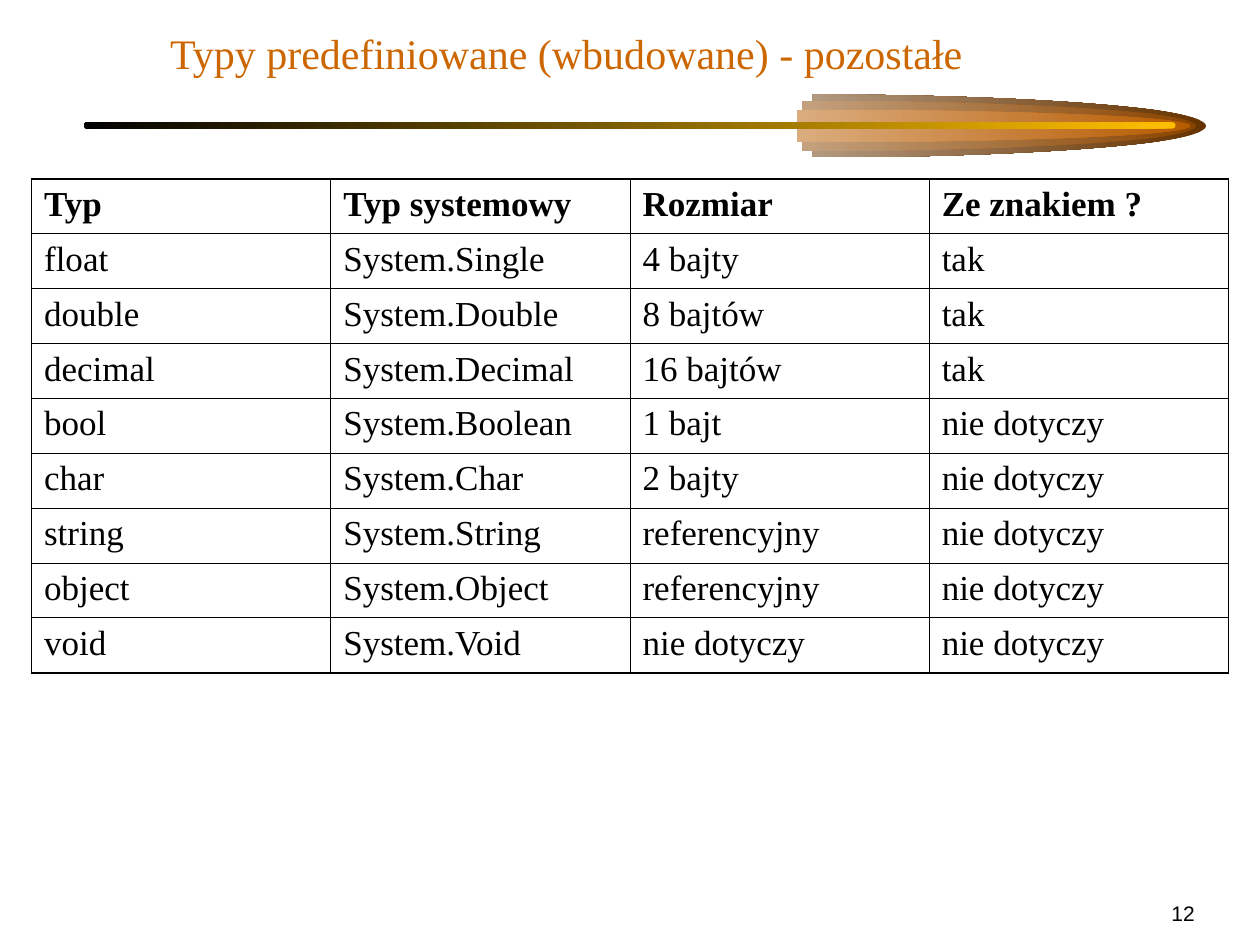
"""Builds a slide with a table of predefined data types."""
from dataclasses import dataclass

from lxml import etree
from pptx import Presentation
from pptx import util as u
from pptx.dml import color
from pptx.enum import shapes, text
from pptx.oxml import ns

SERIF, SANS = "Times New Roman", "Arial"
BLACK, WHITE = "000000", "FFFFFF"
THIN, THICK = 0.45, 1.08
ROWS = [
    ("Typ", "Typ systemowy", "Rozmiar", "Ze znakiem ?"),
    ("float", "System.Single", "4 bajty", "tak"),
    ("double", "System.Double", "8 bajtów", "tak"),
    ("decimal", "System.Decimal", "16 bajtów", "tak"),
    ("bool", "System.Boolean", "1 bajt", "nie dotyczy"),
    ("char", "System.Char", "2 bajty", "nie dotyczy"),
    ("string", "System.String", "referencyjny", "nie dotyczy"),
    ("object", "System.Object", "referencyjny", "nie dotyczy"),
    ("void", "System.Void", "nie dotyczy", "nie dotyczy"),
]


@dataclass
class Flame:
    left: float
    half_height: float
    tip: str


FLAMES = [
    Flame(3.32, 0.25, "663300"),
    Flame(3.24, 0.20, "894400"),
    Flame(3.20, 0.13, "B75B00"),
]
FLAME_WIDTH, FLAME_Y = 6.26, 1
ARC = [
    ("moveTo", [(0, -1)]),
    ("cubicBezTo", [(0.36, -1), (0.69, -0.8), (0.87, -0.5)]),
    ("cubicBezTo", [(1.04, -0.19), (1.04, 0.19), (0.87, 0.5)]),
    ("cubicBezTo", [(0.69, 0.8), (0.36, 1), (0, 1)]),
]
SECTOR = ARC + [("lnTo", [(0, 0)]), ("close", [])]


def rgb(value: str) -> color.RGBColor:
    """Turn a hex string into a colour."""
    return color.RGBColor.from_string(value)


def write(tf, words: str, size: float, font: str, hue: str, align="LEFT", bold=False) -> None:
    """Write one formatted run into a text frame."""
    p = tf.paragraphs[0]
    p.alignment = text.PP_ALIGN[align]
    r = p.add_run()
    r.text = words
    for name, value in {"size": u.Pt(size), "name": font, "bold": bold}.items():
        setattr(r.font, name, value)
    r.font.color.rgb = rgb(hue)


def shade(s, start: str, end: str) -> None:
    """Fill a shape with a gradient running from right to left."""
    s.shadow.inherit = False
    s.line.fill.background()
    s.fill.gradient()
    s.fill.gradient_angle = 180
    for stop, hue in zip(s.fill.gradient_stops, (start, end)):
        stop.color.rgb = rgb(hue)


def add_path(paths, s, steps: list, **attrs: str) -> None:
    """Add a path given in half-widths and half-heights from the shape's centre."""
    path = etree.SubElement(paths, ns.qn("a:path"), w=str(s.width), h=str(s.height), **attrs)
    for kind, points in steps:
        step = etree.SubElement(path, ns.qn(f"a:{kind}"))
        for x, y in points:
            px, py = round((1 + x) * s.width / 2), round((1 + y) * s.height / 2)
            etree.SubElement(step, ns.qn("a:pt"), x=str(px), y=str(py))


def draw_flame(sp, flame: Flame) -> None:
    """Draw the right half of a flat ellipse inside the box of the whole ellipse."""
    left, right = u.Inches(flame.left), u.Inches(flame.left + FLAME_WIDTH)
    top, bottom = u.Inches(FLAME_Y - flame.half_height), u.Inches(FLAME_Y + flame.half_height)
    builder = sp.build_freeform(left, top)
    builder.add_line_segments([(right, top), (right, bottom), (left, bottom)])
    s = builder.convert_to_shape()
    paths = s.element.find(".//" + ns.qn("a:pathLst"))
    paths.clear()
    add_path(paths, s, SECTOR, stroke="0")
    add_path(paths, s, ARC, fill="none")
    shade(s, flame.tip, WHITE)


def draw_bar(sp) -> None:
    """Draw the thin rounded bar under the title."""
    s = sp.add_shape(
        shapes.MSO_SHAPE.ROUNDED_RECTANGLE,
        u.Inches(0.67), u.Inches(0.97), u.Inches(8.66), u.Inches(0.05),
    )
    s.adjustments[0] = 0.5
    shade(s, "FFBF00", BLACK)


def set_borders(cell, widths: dict[str, float]) -> None:
    """Give a cell solid black borders of the given widths in points."""
    props = cell._tc.get_or_add_tcPr()
    for i, (side, width) in enumerate(widths.items()):
        line = etree.Element(ns.qn(f"a:ln{side}"), w=str(int(u.Pt(width))))
        fill = etree.SubElement(line, ns.qn("a:solidFill"))
        etree.SubElement(fill, ns.qn("a:srgbClr"), val=BLACK)
        props.insert(i, line)


def draw_table(sp) -> None:
    """Draw the table of types with a heavier outer frame."""
    n_rows, n_cols = len(ROWS), len(ROWS[0])
    table = sp.add_table(
        n_rows, n_cols, u.Inches(0.25), u.Inches(1.42), u.Inches(9.5), u.Inches(3.92)
    ).table
    for i, row in enumerate(ROWS):
        for j, words in enumerate(row):
            cell = table.cell(i, j)
            cell.fill.background()
            write(cell.text_frame, words, 20, SERIF, BLACK, bold=i == 0)
            outer = {"L": j == 0, "R": j == n_cols - 1, "T": i == 0, "B": i == n_rows - 1}
            set_borders(cell, {k: THICK if edge else THIN for k, edge in outer.items()})


def place_title(s) -> None:
    """Move the title placeholder and write the heading."""
    box = {"left": 1.25, "top": 0.17, "width": 8.5, "height": 0.5}
    for name, value in box.items():
        setattr(s, name, u.Inches(value))
    tf = s.text_frame
    tf.auto_size = text.MSO_AUTO_SIZE.NONE
    tf.vertical_anchor = text.MSO_ANCHOR.BOTTOM
    write(tf, "Typy predefiniowane (wbudowane) - pozostałe", 24, SERIF, "CC6600")


def add_page_number(sp) -> None:
    """Add the page number at the lower right."""
    tf = sp.add_textbox(u.Inches(8.5), u.Inches(7.08), u.Inches(1.08), u.Inches(0.33)).text_frame
    tf.word_wrap = True
    tf.vertical_anchor = text.MSO_ANCHOR.MIDDLE
    write(tf, "12", 12, SANS, BLACK, "RIGHT")


def main() -> None:
    """Build and save the slide."""
    prs = Presentation()
    prs.slide_width, prs.slide_height = u.Inches(10), u.Inches(7.5)
    slide = prs.slides.add_slide(prs.slide_layouts[5])
    sp = slide.shapes
    for flame in FLAMES:
        draw_flame(sp, flame)
    draw_bar(sp)
    place_title(sp.title)
    draw_table(sp)
    add_page_number(sp)
    prs.save("out.pptx")


if __name__ == "__main__":
    main()
